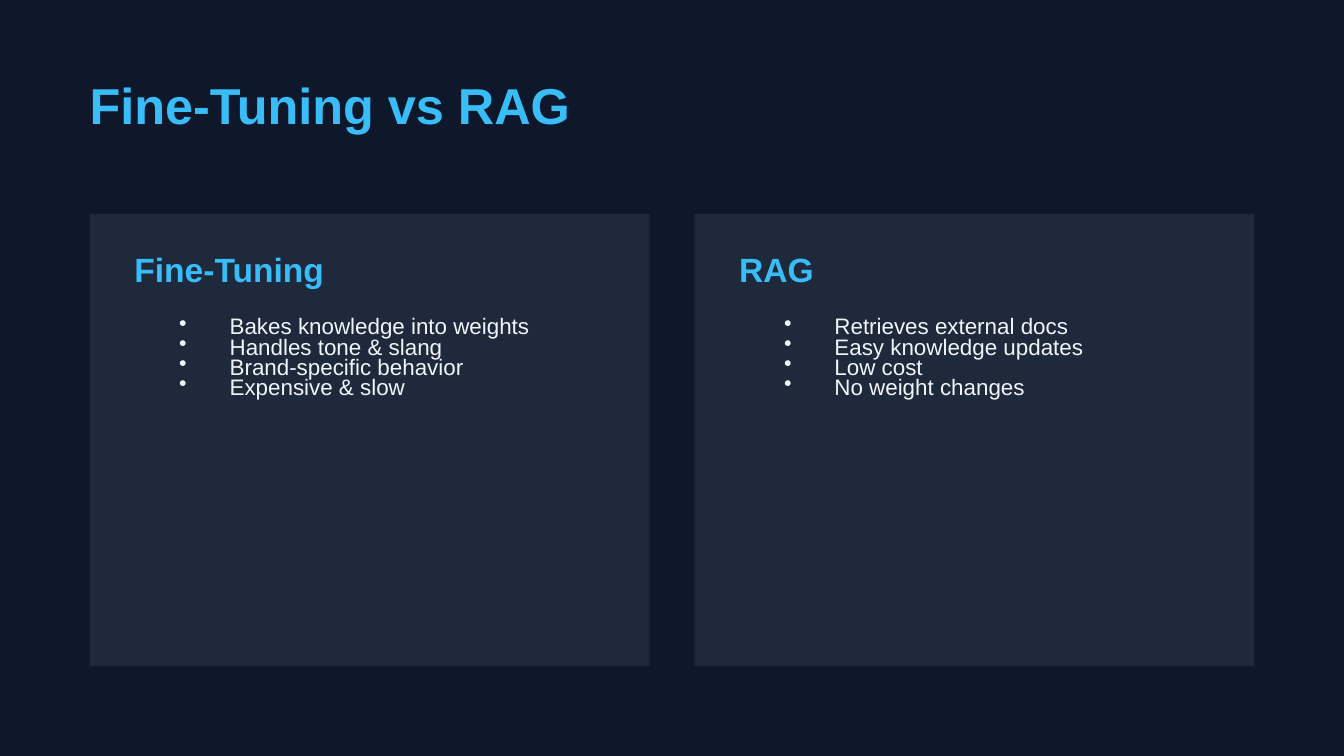
from lxml import etree
from pptx import Presentation
from pptx.dml.color import RGBColor
from pptx.enum.shapes import MSO_SHAPE
from pptx.oxml.ns import qn
from pptx.util import Pt

PX = 9525
RECTANGLE = MSO_SHAPE.RECTANGLE
NAVY = RGBColor(0x0F, 0x17, 0x2A)
SLATE = RGBColor(0x1E, 0x29, 0x3B)
SKY = RGBColor(0x38, 0xBD, 0xF8)
PALE = RGBColor(0xF1, 0xF5, 0xF9)

CARD_WIDTH, CARD_GAP = 400, 32
COMPARISON = [
    ("Fine-Tuning", ["Bakes knowledge into weights", "Handles tone & slang",
                     "Brand-specific behavior", "Expensive & slow"]),
    ("RAG", ["Retrieves external docs", "Easy knowledge updates",
             "Low cost", "No weight changes"]),
]


def emu(*lengths):
    """Turn px lengths into EMU."""
    return [length * PX for length in lengths]


def add_bullet(paragraph, indent):
    """Give a paragraph a bullet with a hanging indent in px."""
    properties = paragraph._p.get_or_add_pPr()
    properties.set("marL", str(indent * PX))
    properties.set("indent", str(-indent * PX))
    etree.SubElement(properties, qn("a:buChar")).set("char", "•")


def add_text(slide, box, lines, size, color, bold=False, bullet_indent=None):
    """Write lines into a text box without insets, spaced at 0.9 of their size."""
    frame = slide.shapes.add_textbox(*emu(*box)).text_frame
    frame.word_wrap = True
    frame.margin_left = frame.margin_right = 0
    frame.margin_top = frame.margin_bottom = 0
    frame.text = "\n".join(lines)
    for paragraph in frame.paragraphs:
        paragraph.line_spacing = Pt(size * 0.9)
        if bullet_indent:
            add_bullet(paragraph, bullet_indent)
        font = paragraph.runs[0].font
        font.name, font.size, font.bold = "Arial", Pt(size), bold
        font.color.rgb = color


def add_card(slide, box, heading, points):
    """Draw one approach as a panel with a heading and bullet points."""
    left, top, width, height = box
    panel = slide.shapes.add_shape(RECTANGLE, *emu(*box))
    panel.shadow.inherit = False
    panel.fill.solid()
    panel.fill.fore_color.rgb = SLATE
    panel.line.fill.background()
    add_text(slide, (left + 32, top + 32, width - 57, 28), [heading],
             size=18, color=SKY, bold=True)
    add_text(slide, (left + 64, top + 75, width - 96, 151), points,
             size=12, color=PALE, bullet_indent=36)


def main():
    """Build the comparison slide and save it."""
    deck = Presentation()
    deck.slide_width, deck.slide_height = emu(960, 540)
    slide = deck.slides.add_slide(deck.slide_layouts[6])
    slide.background.fill.solid()
    slide.background.fill.fore_color.rgb = NAVY
    add_text(slide, (64, 64, 849, 41), ["Fine-Tuning vs RAG"],
             size=27, color=SKY, bold=True)
    for column, (heading, points) in enumerate(COMPARISON):
        left = 64 + column * (CARD_WIDTH + CARD_GAP)
        add_card(slide, (left, 153, CARD_WIDTH, 323), heading, points)
    deck.save("out.pptx")


if __name__ == "__main__":
    main()
